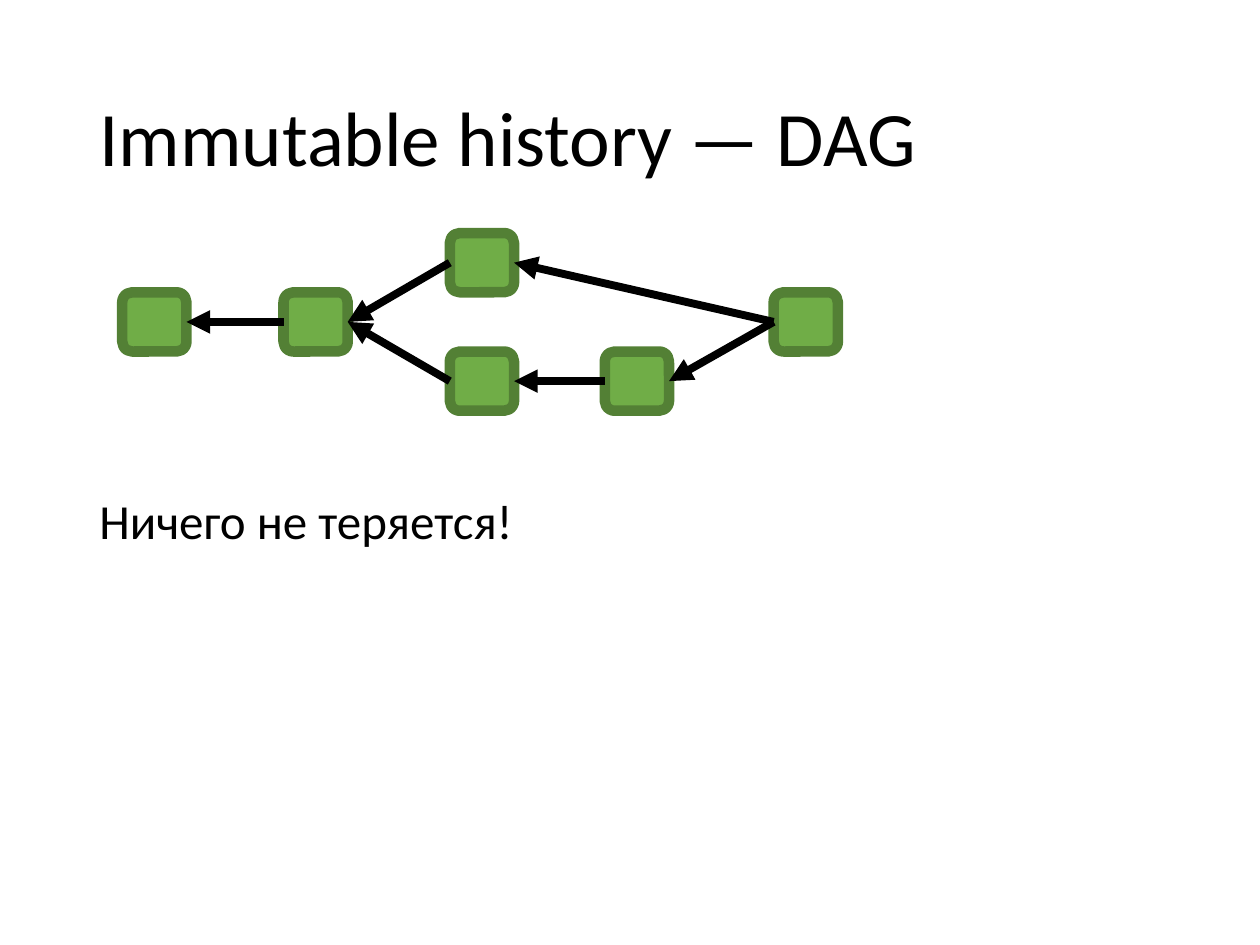
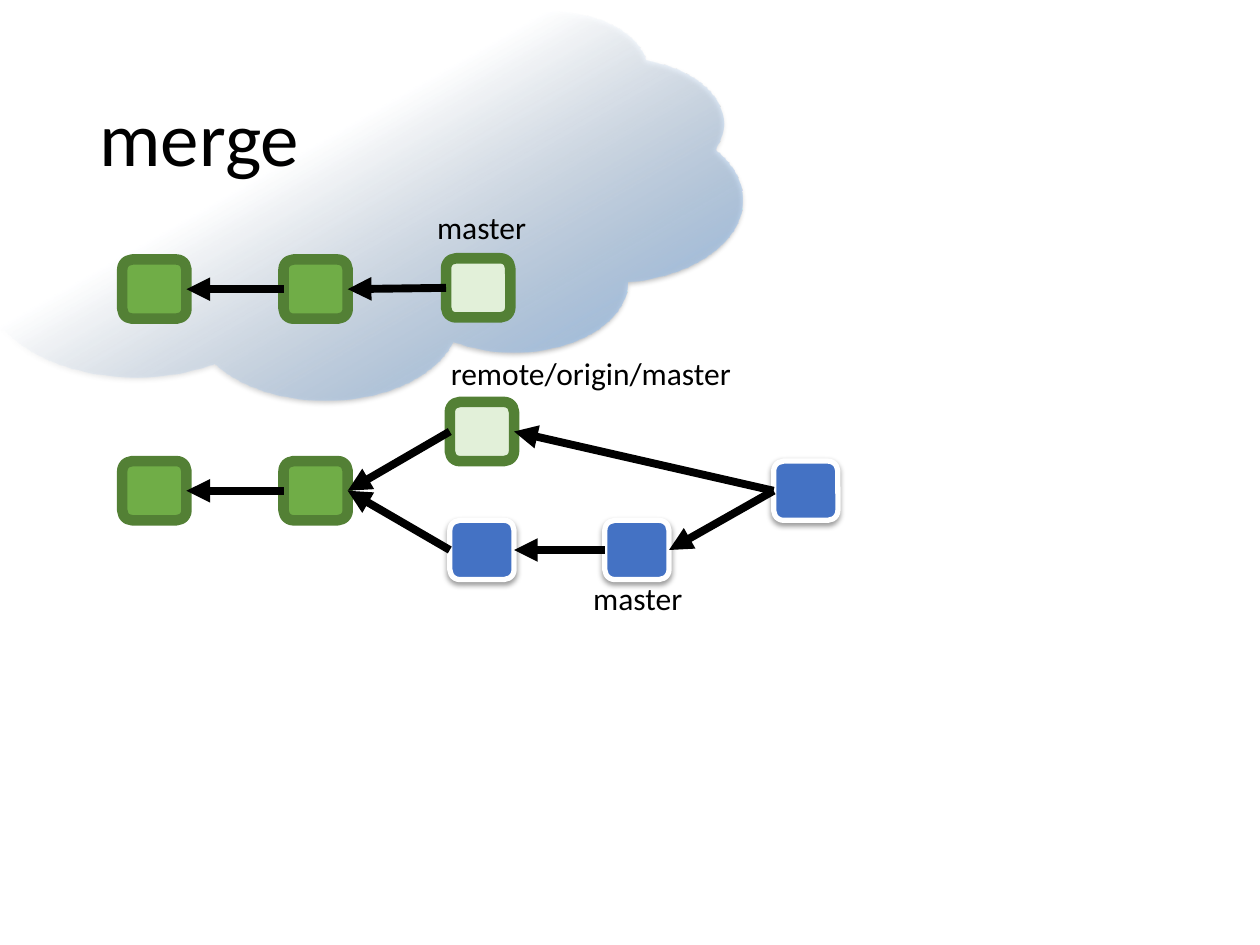
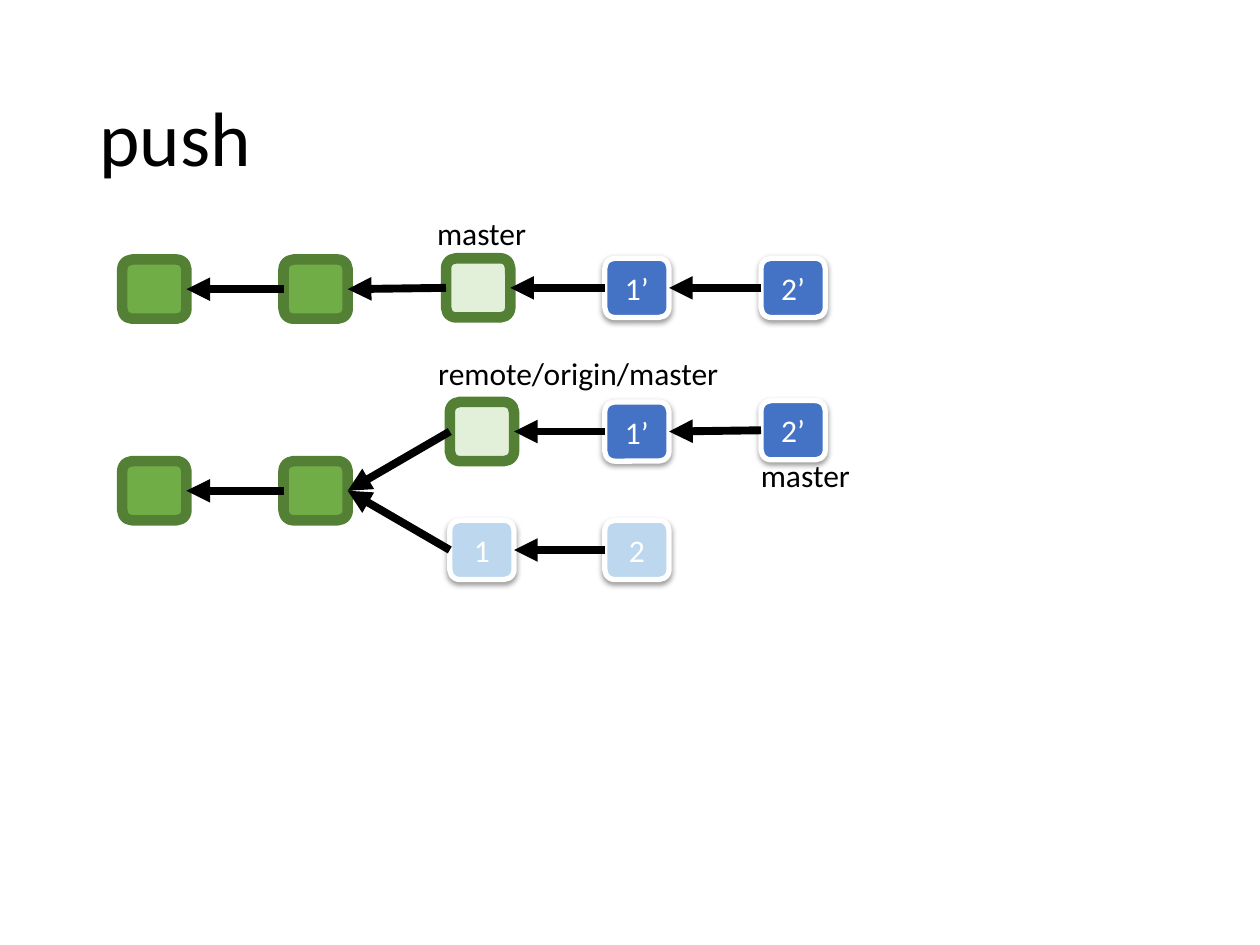
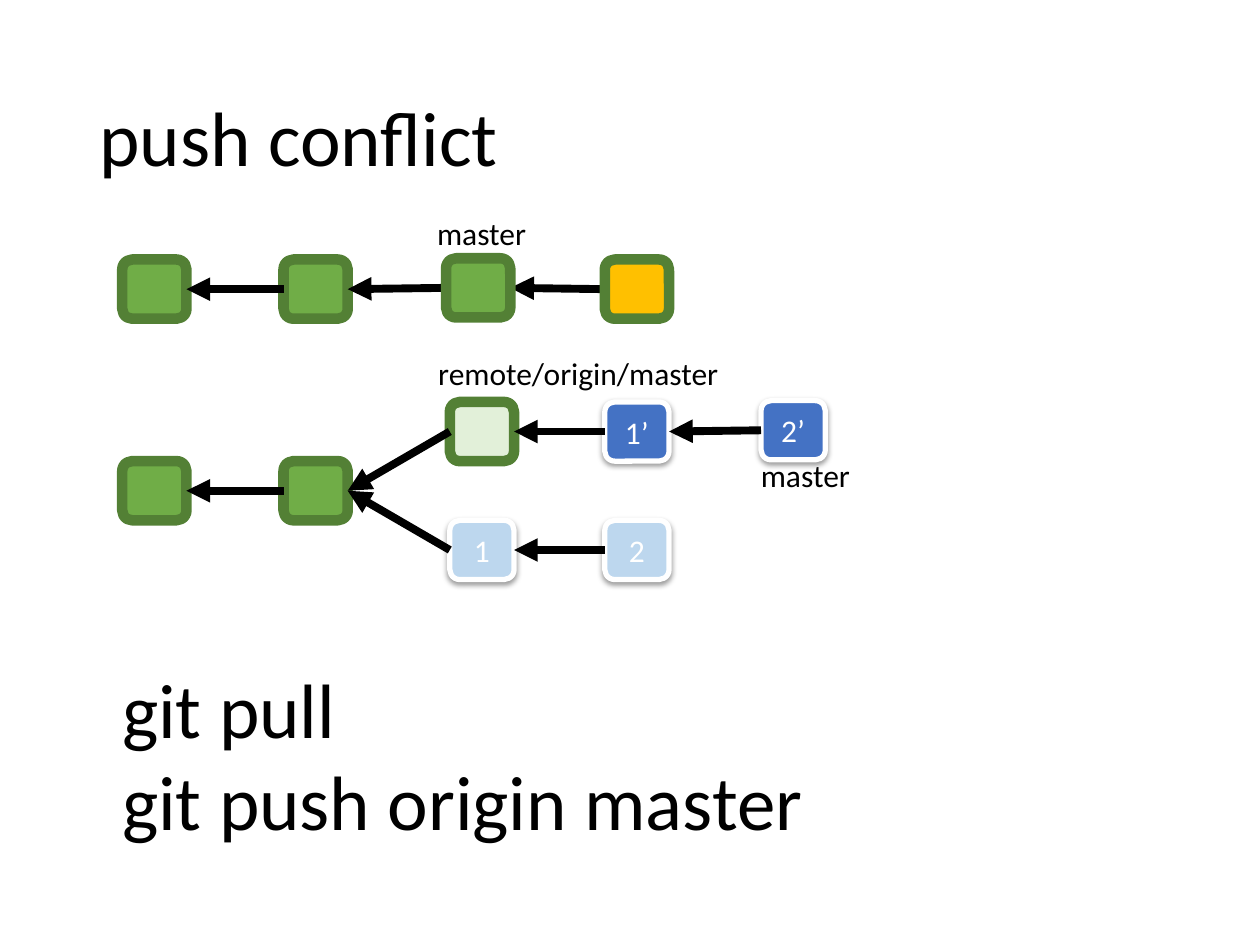
"""Build four slides that explain commit graphs: DAG, merge, push and push conflict."""
from dataclasses import dataclass

import pptx
import pptx.dml.color
import pptx.enum.shapes
import pptx.enum.text
import pptx.oxml
import pptx.oxml.ns
import pptx.slide
import pptx.util
from pptx.dml.color import RGBColor
from pptx.util import Inches

BLACK = RGBColor(0x00, 0x00, 0x00)
WHITE = RGBColor(0xFF, 0xFF, 0xFF)
GREEN = RGBColor(0x70, 0xAD, 0x47)
DARK_GREEN = RGBColor(0x53, 0x80, 0x35)
PALE_GREEN = RGBColor(0xE2, 0xF0, 0xD9)
BLUE = RGBColor(0x44, 0x72, 0xC4)
PALE_BLUE = RGBColor(0xBD, 0xD7, 0xEE)
AMBER = RGBColor(0xFF, 0xC0, 0x00)
CLOUD_START = RGBColor(0xB1, 0xCB, 0xE9)
CLOUD_END = RGBColor(0x93, 0xB9, 0xE4)

FONT = "Calibri"
TITLE_SIZE, BODY_SIZE, LABEL_SIZE = 44, 28, 18
NODE_WIDTH, NODE_HEIGHT = 0.51, 0.47
LEFT_SIDE, RIGHT_SIDE = 1, 3  # connection sites of a rounded rectangle
COLUMNS = (0.97, 2.25, 3.57, 4.8, 6.04)
REMOTE_COLUMN = 3.54
MERGE_COLUMN = 6.14
REMOTE_TOP, LOCAL_TOP = 2.05, 3.66
LONG_LABEL_WIDTH = 2.44


@dataclass(frozen=True)
class Style:
    """Look of a commit node."""
    fill: RGBColor
    edge: RGBColor = DARK_GREEN
    edge_width: float = 6
    shadow: bool = False


SHARED = Style(GREEN)
TIP = Style(PALE_GREEN)
FOREIGN = Style(AMBER)
LOCAL = Style(BLUE, WHITE, 3, True)
STALE = Style(PALE_BLUE, WHITE, 3, True)


@dataclass(frozen=True)
class Commit:
    """A node of a history; parents are indices into the same history."""
    left: float
    top: float
    style: Style
    parents: tuple[int, ...] = ()
    text: str = ""
    above_arrows: bool = False


@dataclass(frozen=True)
class Label:
    """A branch name beside a node."""
    text: str
    left: float
    top: float
    width: float = 0.91


def trunk(top: float) -> list[Commit]:
    """Return the two commits that every history starts with."""
    return [Commit(COLUMNS[0], top, SHARED), Commit(COLUMNS[1], top, SHARED, (0,))]


def merged_history(top: float, incoming: Style, local: Style) -> list[Commit]:
    """Return a history that forks and is joined by a merge commit."""
    upper, lower = top - NODE_HEIGHT, top + NODE_HEIGHT
    return trunk(top) + [
        Commit(COLUMNS[2], upper, incoming, (1,)),
        Commit(COLUMNS[2], lower, local, (1,)),
        Commit(COLUMNS[3], lower, local, (3,)),
        Commit(MERGE_COLUMN, top, local, (2, 4)),
    ]


def rebased_history(top: float) -> list[Commit]:
    """Return a fork whose lower commits are replayed on the upper branch."""
    upper, lower = top - NODE_HEIGHT, top + NODE_HEIGHT
    return trunk(top) + [
        Commit(COLUMNS[2], upper, TIP, (1,)),
        Commit(COLUMNS[2], lower, STALE, (1,), "1"),
        Commit(COLUMNS[3], lower, STALE, (3,), "2"),
        Commit(COLUMNS[3], upper, LOCAL, (2,), "1’"),
        Commit(COLUMNS[4], upper - 0.01, LOCAL, (5,), "2’"),
    ]


def remote_history(*later: Commit) -> list[Commit]:
    """Return the straight history kept on the server."""
    return trunk(REMOTE_TOP + 0.01) + list(later)


def add_span(para, text: str, size: float, color: RGBColor = BLACK) -> None:
    """Add one formatted run to a paragraph."""
    span = para.add_run()
    span.text = text
    span.font.name = FONT
    span.font.size = pptx.util.Pt(size)
    span.font.color.rgb = color


def add_box(page: pptx.slide.Slide, left: float, top: float, width: float,
            height: float, wrap: bool = True, grow: bool = True):
    """Add a text box and return its first paragraph."""
    box = page.shapes.add_textbox(Inches(left), Inches(top), Inches(width), Inches(height))
    box.text_frame.word_wrap = wrap
    if grow:
        box.text_frame.auto_size = pptx.enum.text.MSO_AUTO_SIZE.SHAPE_TO_FIT_TEXT
    return box.text_frame.paragraphs[0]


def add_page(deck, title: str) -> pptx.slide.Slide:
    """Add a slide with a formatted title."""
    page = deck.slides.add_slide(deck.slide_layouts[5])
    box = page.shapes.title
    box.left, box.top = Inches(0.69), Inches(0.4)
    box.width, box.height = Inches(8.62), Inches(1.45)
    frame = box.text_frame
    frame.auto_size = pptx.enum.text.MSO_AUTO_SIZE.NONE
    frame.vertical_anchor = pptx.enum.text.MSO_ANCHOR.MIDDLE
    para = frame.paragraphs[0]
    para.alignment = pptx.enum.text.PP_ALIGN.LEFT
    para.line_spacing = 0.9
    add_span(para, title, TITLE_SIZE)
    return page


def add_shadow(shape) -> None:
    """Give a shape a soft shadow below it."""
    shape.shadow.inherit = False
    effects = shape.element.spPr.find(pptx.oxml.ns.qn("a:effectLst"))
    effects.append(pptx.oxml.parse_xml(
        f'<a:outerShdw {pptx.oxml.ns.nsdecls("a")} blurRad="39370" dist="20320" '
        'dir="5400000" rotWithShape="0"><a:srgbClr val="000000">'
        '<a:alpha val="38000"/></a:srgbClr></a:outerShdw>'))


def add_node(page: pptx.slide.Slide, commit: Commit):
    """Draw a commit as a rounded square."""
    node = page.shapes.add_shape(
        pptx.enum.shapes.MSO_SHAPE.ROUNDED_RECTANGLE, Inches(commit.left),
        Inches(commit.top), Inches(NODE_WIDTH), Inches(NODE_HEIGHT))
    node.fill.solid()
    node.fill.fore_color.rgb = commit.style.fill
    node.line.color.rgb = commit.style.edge
    node.line.width = pptx.util.Pt(commit.style.edge_width)
    node.shadow.inherit = False
    if commit.style.shadow:
        add_shadow(node)
    if commit.text:
        node.text_frame.vertical_anchor = pptx.enum.text.MSO_ANCHOR.MIDDLE
        para = node.text_frame.paragraphs[0]
        para.alignment = pptx.enum.text.PP_ALIGN.CENTER
        add_span(para, commit.text, LABEL_SIZE, WHITE)
    return node


def add_arrow(page: pptx.slide.Slide, child, parent) -> None:
    """Draw an arrow from a commit node to its parent node."""
    arrow = page.shapes.add_connector(
        pptx.enum.shapes.MSO_CONNECTOR.STRAIGHT, child.left, child.top,
        parent.left, parent.top)
    arrow.begin_connect(child, LEFT_SIDE)
    arrow.end_connect(parent, RIGHT_SIDE)
    arrow.line.color.rgb = BLACK
    arrow.line.width = pptx.util.Pt(4.5)
    properties = arrow.element.spPr
    namespace = pptx.oxml.ns.nsdecls("a")
    properties.find(pptx.oxml.ns.qn("a:ln")).append(
        pptx.oxml.parse_xml(f'<a:tailEnd {namespace} type="triangle"/>'))
    properties.append(pptx.oxml.parse_xml(f"<a:effectLst {namespace}/>"))


def add_history(page: pptx.slide.Slide, commits: list[Commit]) -> None:
    """Draw the commits of a history and the arrows to their parents."""
    nodes = [add_node(page, commit) for commit in commits]
    for commit, child in zip(commits, nodes):
        for parent in commit.parents:
            add_arrow(page, child, nodes[parent])
    tree = nodes[0].element.getparent()
    for commit, node in zip(commits, nodes):
        if commit.above_arrows:
            tree.append(node.element)


def add_labels(page: pptx.slide.Slide, *labels: Label) -> None:
    """Write branch names."""
    for label in labels:
        para = add_box(page, label.left, label.top, label.width, 0.4, wrap=False)
        add_span(para, label.text, LABEL_SIZE)


def add_cloud(page: pptx.slide.Slide) -> None:
    """Draw the server cloud behind everything else."""
    cloud = page.shapes.add_shape(
        pptx.enum.shapes.MSO_SHAPE.CLOUD, Inches(-0.88), Inches(0.08),
        Inches(6.77), Inches(3.09))
    cloud.line.fill.background()
    gradient = pptx.oxml.parse_xml(
        f'<a:gradFill {pptx.oxml.ns.nsdecls("a")} rotWithShape="1"><a:gsLst>'
        f'<a:gs pos="43000"><a:srgbClr val="{CLOUD_START}"><a:alpha val="0"/></a:srgbClr></a:gs>'
        f'<a:gs pos="100000"><a:srgbClr val="{CLOUD_END}"/></a:gs>'
        '</a:gsLst><a:lin ang="3600000" scaled="0"/></a:gradFill>')
    cloud.element.spPr.find(pptx.oxml.ns.qn("a:prstGeom")).addnext(gradient)
    add_shadow(cloud)
    page.shapes.title.element.addprevious(cloud.element)


def add_dag_page(deck) -> None:
    """Add the slide on immutable history."""
    page = add_page(deck, "Immutable history — DAG")
    para = add_box(page, 0.69, 3.9, 8.62, 1.52, grow=False)
    para.line_spacing = 0.9
    para.space_before = pptx.util.Pt(10)
    add_span(para, "Ничего не теряется!", BODY_SIZE)
    add_history(page, merged_history(2.32, SHARED, SHARED))


def add_merge_page(deck) -> None:
    """Add the slide on merging."""
    page = add_page(deck, "merge")
    add_cloud(page)
    add_history(page, remote_history(Commit(REMOTE_COLUMN, REMOTE_TOP, TIP, (1,))))
    add_history(page, merged_history(LOCAL_TOP, TIP, LOCAL))
    add_labels(page, Label("master", 3.37, 1.6),
               Label("remote/origin/master", 3.48, 2.76, LONG_LABEL_WIDTH),
               Label("master", 4.61, 4.55))


def add_push_page(deck, title: str, remote: list[Commit]) -> pptx.slide.Slide:
    """Add a slide with a remote history above a rebased local one."""
    page = add_page(deck, title)
    add_history(page, remote)
    add_history(page, rebased_history(LOCAL_TOP))
    add_labels(page, Label("master", 3.37, 1.65),
               Label("remote/origin/master", 3.38, 2.76, LONG_LABEL_WIDTH),
               Label("master", 5.94, 3.57))
    return page


def main() -> None:
    """Build and save the deck."""
    deck = pptx.Presentation()
    deck.slide_width, deck.slide_height = Inches(10), Inches(7.5)
    add_dag_page(deck)
    add_merge_page(deck)
    add_push_page(deck, "push", remote_history(
        Commit(REMOTE_COLUMN, REMOTE_TOP, TIP, (1,)),
        Commit(COLUMNS[3], REMOTE_TOP, LOCAL, (2,), "1’"),
        Commit(COLUMNS[4], REMOTE_TOP, LOCAL, (3,), "2’")))
    page = add_push_page(deck, "push conflict", remote_history(
        Commit(REMOTE_COLUMN, REMOTE_TOP, SHARED, (1,), above_arrows=True),
        Commit(COLUMNS[3], REMOTE_TOP + 0.01, FOREIGN, (2,), above_arrows=True)))
    para = add_box(page, 0.87, 5.2, 7.55, 1.32)
    add_span(para, "git pull", TITLE_SIZE)
    para.add_line_break()
    add_span(para, "git push origin master", TITLE_SIZE)
    deck.save("out.pptx")


main()
